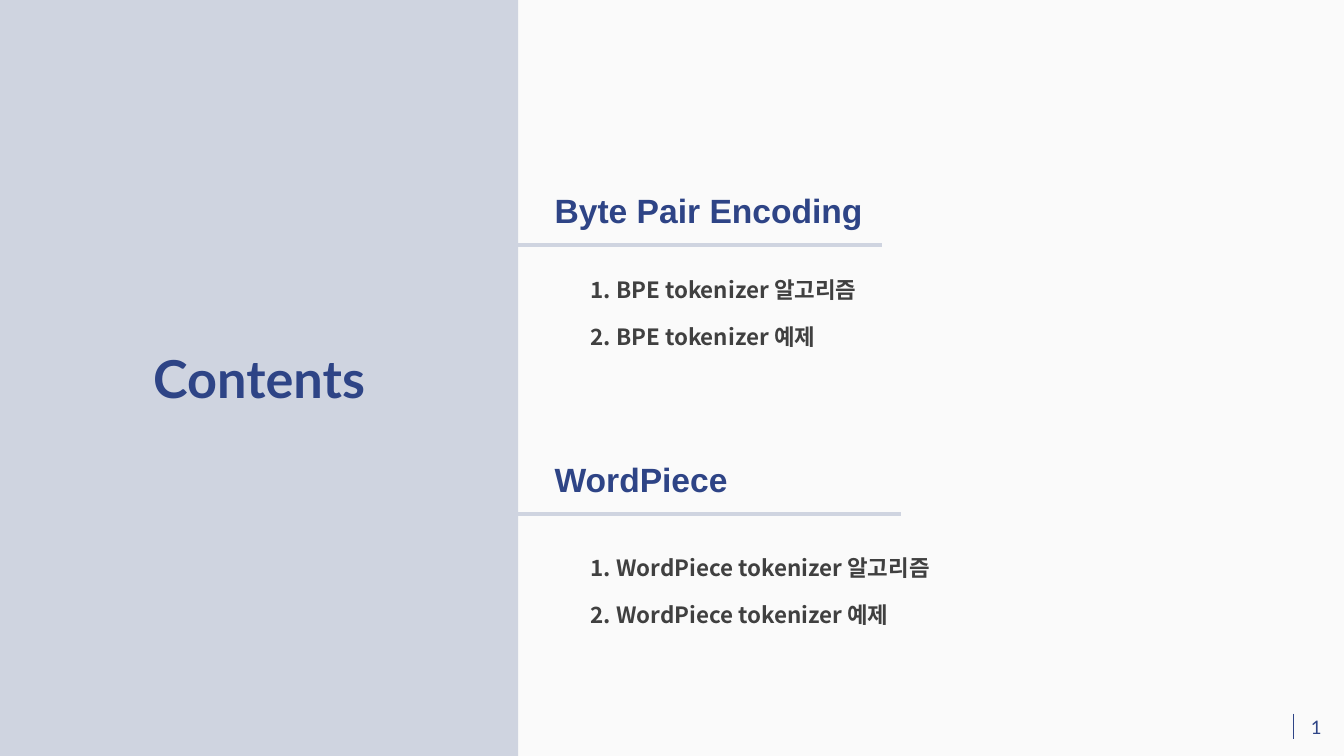
from lxml import etree
from pptx import Presentation
from pptx.dml.color import RGBColor
from pptx.enum.shapes import MSO_CONNECTOR, MSO_SHAPE
from pptx.enum.text import MSO_ANCHOR, MSO_AUTO_SIZE, PP_ALIGN
from pptx.oxml.ns import qn
from pptx.util import Inches, Pt

COLORS = {"background": "FAFAFA", "panel": "CFD4E0", "navy": "2E4486", "text": "404040"}
SECTIONS = [
    ("Byte Pair Encoding", 1.83, 3.38, 8.75, 2.69,
     ["1. BPE tokenizer 알고리즘", "2. BPE tokenizer 예제"]),
    ("WordPiece", 4.5, 1.93, 8.94, 5.45,
     ["1. WordPiece tokenizer 알고리즘", "2. WordPiece tokenizer 예제"]),
]


def fill_text(shape, box, lines, font, size, color, bold=True, align=PP_ALIGN.LEFT,
              anchor=MSO_ANCHOR.TOP, gap=0, wrap=True):
    shape.left, shape.top, shape.width, shape.height = map(Inches, box)
    frame = shape.text_frame
    frame.text = "\n".join(lines)
    frame.word_wrap = wrap
    frame.auto_size = MSO_AUTO_SIZE.NONE
    frame.vertical_anchor = anchor
    for paragraph in frame.paragraphs:
        paragraph.alignment = align
        paragraph.space_before = Pt(0)
        paragraph.space_after = Pt(gap)
        paragraph.font.name = font
        paragraph.font.size = Pt(size)
        paragraph.font.bold = bold
        paragraph.font.color.rgb = RGBColor.from_string(COLORS[color])
        properties = paragraph._p.get_or_add_pPr()
        properties.set("marL", "0")
        properties.set("indent", "0")
        properties.insert_element_before(
            etree.Element(qn("a:buNone")), "a:tabLst", "a:defRPr", "a:extLst")
        for run in paragraph.runs:
            run.font.name = font
            east_asian = etree.SubElement(run._r.get_or_add_rPr(), qn("a:ea"))
            east_asian.set("typeface", font)
    return frame


def add_line(start, end, color, width):
    line = slide.shapes.add_connector(MSO_CONNECTOR.STRAIGHT, *map(Inches, start + end))
    line.line.color.rgb = RGBColor.from_string(COLORS[color])
    line.line.width = Pt(width)
    etree.SubElement(line._element.spPr, qn("a:effectLst"))
    return line


presentation = Presentation()
presentation.slide_width = Inches(13.33)
presentation.slide_height = Inches(7.5)
slide = presentation.slides.add_slide(presentation.slide_layouts.get_by_name("Comparison"))
slide.background.fill.solid()
slide.background.fill.fore_color.rgb = RGBColor.from_string(COLORS["background"])

panel = slide.shapes.add_shape(MSO_SHAPE.RECTANGLE, 0, 0, Inches(5.14), Inches(7.5))
panel.shadow.inherit = False
panel.fill.solid()
panel.fill.fore_color.rgb = RGBColor.from_string(COLORS["panel"])
panel.line.fill.background()
slide.shapes._spTree.insert(2, panel._element)

title = fill_text(slide.shapes.title, (1.17, 3.22, 2.8, 1.06), ["Contents"], "Lato", 37.3,
                  "navy", align=PP_ALIGN.CENTER, anchor=MSO_ANCHOR.MIDDLE)
title.margin_left = title.margin_right = title.margin_top = title.margin_bottom = 0

placeholders = {shape.placeholder_format.idx: shape for shape in slide.placeholders}
for index, (heading, top, width, line_end, list_top, items) in enumerate(SECTIONS):
    fill_text(placeholders[1 + 2 * index], (5.4, top, width, 0.5), [heading],
              "Arial", 24, "navy", wrap=False)
    fill_text(placeholders[2 + 2 * index], (5.76, list_top, 5.15, 0.89), items,
              "Noto Sans CJK KR", 16, "text", gap=14)
    add_line((5.14, top + 0.6), (line_end, top + 0.6), "panel", 3)

add_line((12.83, 7.08), (12.83, 7.33), "navy", 0.75)
number_box = slide.shapes.add_textbox(0, 0, 0, 0)
number = fill_text(number_box, (12.63, 6.93, 0.61, 0.57), ["2"], "Lato", 13.3, "navy",
                   bold=False, align=PP_ALIGN.RIGHT, anchor=MSO_ANCHOR.MIDDLE)
number.margin_left = number.margin_right = Inches(0.13)
number.margin_top = number.margin_bottom = Inches(0.13)
number_run = number.paragraphs[0].runs[0]._r
number_run.tag = qn("a:fld")
number_run.set("id", "{B6F15528-21DE-4FAA-801E-634DDDAF4B2B}")
number_run.set("type", "slidenum")

presentation.save("out.pptx")
